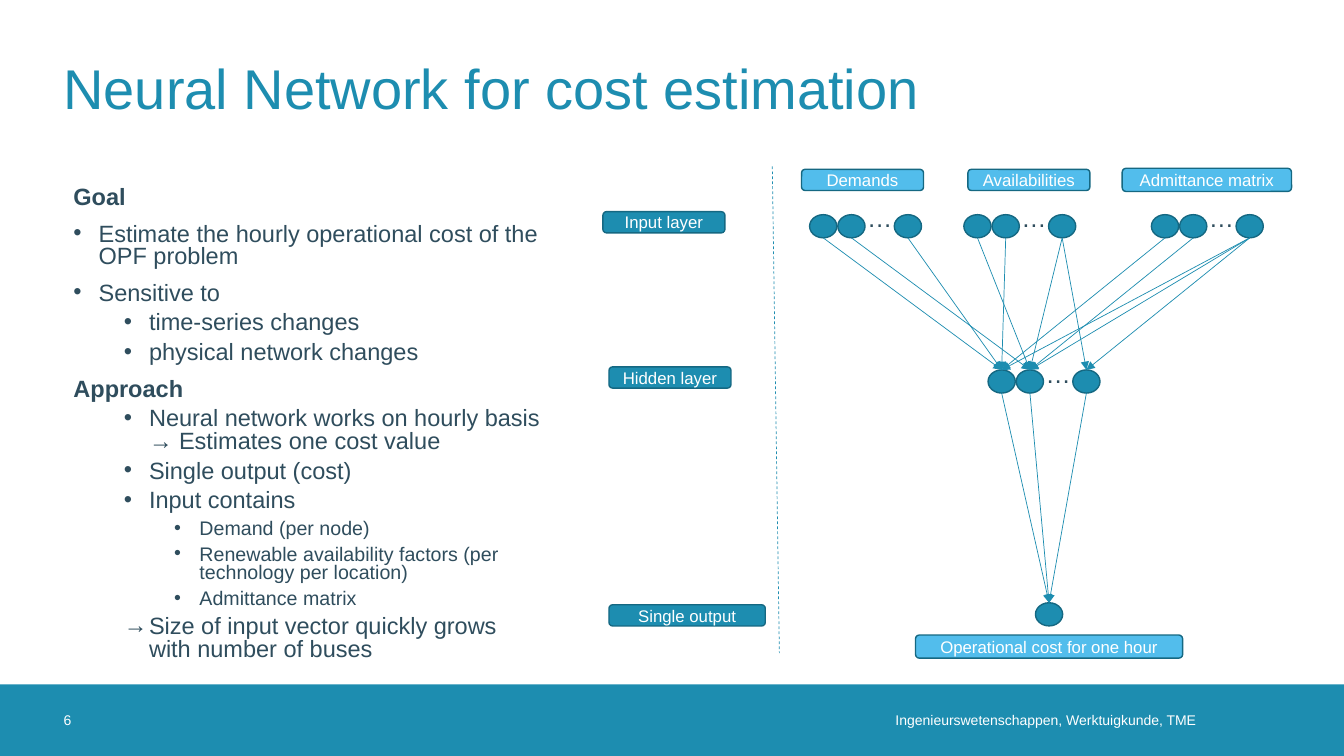
from lxml import etree
from pptx import Presentation
from pptx.dml.color import RGBColor
from pptx.enum.dml import MSO_LINE
from pptx.enum.shapes import MSO_CONNECTOR, MSO_SHAPE
from pptx.enum.text import MSO_ANCHOR, PP_ALIGN
from pptx.oxml.ns import qn
from pptx.util import Inches, Pt

RECT, PILL, OVAL = MSO_SHAPE.RECTANGLE, MSO_SHAPE.ROUNDED_RECTANGLE, MSO_SHAPE.OVAL
STRAIGHT, DASH = MSO_CONNECTOR.STRAIGHT, MSO_LINE.DASH
LEFT, CENTER, RIGHT = PP_ALIGN.LEFT, PP_ALIGN.CENTER, PP_ALIGN.RIGHT
TOP, MIDDLE = MSO_ANCHOR.TOP, MSO_ANCHOR.MIDDLE

COLORS = {"teal": "1D8DB0", "edge": "156882", "sky": "52BDEC",
          "ink": "2F4D5D", "white": "FFFFFF"}
FONT = "Arial"

# Content
TITLE = "Neural Network for cost estimation"
FOOTER = "Ingenieurswetenschappen, Werktuigkunde, TME"
PAGE_NUMBER = "6"
OUTLINE = [  # level, bullet, text; no bullet marks a heading
    (0, "", "Goal"),
    (0, "•", "Estimate the hourly operational cost of the OPF problem"),
    (0, "•", "Sensitive to"),
    (1, "•", "time-series changes"),
    (1, "•", "physical network changes"),
    (0, "", "Approach"),
    (1, "•", "Neural network works on hourly basis → Estimates one cost value"),
    (1, "•", "Single output (cost)"),
    (1, "•", "Input contains"),
    (2, "•", "Demand (per node)"),
    (2, "•", "Renewable availability factors (per technology per location)"),
    (2, "•", "Admittance matrix"),
    (1, "→", "Size of input vector quickly grows with number of buses"),
]
LEVEL_SIZE = (16.8, 16.8, 14)
LEVEL_SPACE = (10, 5, 5)
PILLS = [  # text, fill, left, top, width, height
    ("Input layer", "teal", 5.98, 2.1, 1.21, 0.21),
    ("Hidden layer", "teal", 6.04, 3.64, 1.21, 0.21),
    ("Single output", "teal", 6.04, 6, 1.55, 0.21),
    ("Demands", "sky", 7.95, 1.68, 1.21, 0.21),
    ("Availabilities", "sky", 9.6, 1.68, 1.21, 0.21),
    ("Admittance matrix", "sky", 11.13, 1.67, 1.68, 0.23),
    ("Operational cost for one hour", "sky", 9.08, 6.3, 2.65, 0.23),
]

# Network layout: each cluster is node, node, dots, node
NODE_W, NODE_H, NODE_STEP = 0.27, 0.23, 0.28
NODE_SLOTS, DOTS_SHIFT = (0, 1, 3), (0.47, -0.17)
INPUT_TOP, HIDDEN_TOP, OUTPUT_TOP = 2.13, 3.67, 5.98
INPUT_LEFT = {"demand": 8.03, "availability": 9.56, "admittance": 11.42}
HIDDEN_LEFT, OUTPUT_LEFT = 9.8, 10.27
LINKS = {  # input cluster: (input node, hidden node)
    "demand": [(0, 0), (2, 0), (1, 1)],
    "availability": [(1, 0), (0, 1), (2, 1), (2, 2)],
    "admittance": [(0, 0), (2, 0), (1, 1), (2, 1), (2, 2)],
}

deck = Presentation()
deck.slide_width, deck.slide_height = Inches(13.33), Inches(7.5)
page = deck.slides.add_slide(deck.slide_layouts[6])


def color(name):
    return RGBColor.from_string(COLORS[name])


def write(para, text, size, ink, bold=False):
    span = para.add_run()
    span.text = text
    for key, value in {"name": FONT, "size": Pt(size), "bold": bold}.items():
        setattr(span.font, key, value)
    span.font.color.rgb = color(ink)


def add_shape(parent, kind, at, fill, edge=None):
    shape = parent.add_shape(kind, *map(Inches, at))
    shape.shadow.inherit = False
    shape.fill.solid()
    shape.fill.fore_color.rgb = color(fill)
    if edge:
        shape.line.color.rgb, shape.line.width = color(edge), Pt(1)
    else:
        shape.line.fill.background()
    return shape


def add_text(parent, at, text, size, ink, align=LEFT, insets=(0, 0, 0, 0), wrap=True):
    frame = parent.add_textbox(*map(Inches, at)).text_frame
    sides = ("margin_left", "margin_top", "margin_right", "margin_bottom")
    form = dict(zip(sides, map(Inches, insets)))
    form.update(word_wrap=wrap, vertical_anchor=MIDDLE)
    for key, value in form.items():
        setattr(frame, key, value)
    frame.paragraphs[0].alignment = align
    write(frame.paragraphs[0], text, size, ink)


def add_line(start, end, arrow=True):
    line = page.shapes.add_connector(STRAIGHT, *map(Inches, (*start, *end)))
    line.line.color.rgb, line.line.width = color("teal"), Pt(0.5)
    if arrow:
        etree.SubElement(line.line._get_or_add_ln(), qn("a:tailEnd"), type="triangle")
    else:
        line.line.dash_style = DASH
    etree.SubElement(line._element.spPr, qn("a:effectLst"))


def add_node(parent, left, top):
    add_shape(parent, OVAL, (left, top, NODE_W, NODE_H), "teal", "edge")
    return left + NODE_W / 2


def add_cluster(left, top):
    """Draw a row of nodes and return their centre lines."""
    parts = page.shapes.add_group_shape().shapes
    centers = [add_node(parts, left + slot * NODE_STEP, top) for slot in NODE_SLOTS]
    shift_x, shift_y = DOTS_SHIFT
    add_text(parts, (left + shift_x, top + shift_y, 0.45, 0.4), "…", 18, "ink",
             CENTER, (0.1, 0.05, 0.1, 0.05), False)
    return centers


# Title and footer band
add_shape(page.shapes, RECT, (0, 6.79, 13.33, 0.71), "teal")
add_text(page.shapes, (0.63, 0.23, 12.07, 1.26), TITLE, 40, "teal")
add_text(page.shapes, (6.6, 6.79, 5.46, 0.71), FOOTER, 10, "white", RIGHT, (0, 0, 0.2, 0))
add_text(page.shapes, (0.63, 6.79, 0.71, 0.71), PAGE_NUMBER, 10, "white")

# Outline
body = page.shapes.add_textbox(*map(Inches, (0.63, 1.81, 4.84, 4.88))).text_frame
body.word_wrap, body.vertical_anchor = True, TOP
for number, (level, bullet, text) in enumerate(OUTLINE):
    para = body.add_paragraph() if number else body.paragraphs[0]
    form = {"level": level, "line_spacing": 0.8, "space_before": Pt(LEVEL_SPACE[level])}
    for key, value in form.items():
        setattr(para, key, value)
    if bullet:
        props = para._p.get_or_add_pPr()
        props.set("marL", str(Inches(0.25 + 0.5 * level)))
        props.set("indent", str(Inches(-0.25)))
        etree.SubElement(props, qn("a:buFont"), typeface=FONT)
        etree.SubElement(props, qn("a:buChar"), char=bullet)
    write(para, text, LEVEL_SIZE[level], "ink", not bullet)

# Divider and labels
add_line((7.66, 1.65), (7.73, 6.48), arrow=False)
for text, fill, *at in PILLS:
    pill = add_shape(page.shapes, PILL, at, fill, "edge")
    pill.text_frame.word_wrap, pill.text_frame.vertical_anchor = True, MIDDLE
    pill.text_frame.paragraphs[0].alignment = CENTER
    write(pill.text_frame.paragraphs[0], text, 12, "white")

# Network nodes
inputs = {name: add_cluster(left, INPUT_TOP) for name, left in INPUT_LEFT.items()}
hidden = add_cluster(HIDDEN_LEFT, HIDDEN_TOP)
output = add_node(page.shapes, OUTPUT_LEFT, OUTPUT_TOP)

# Network arrows
for name, pairs in LINKS.items():
    for source, target in pairs:
        add_line((inputs[name][source], INPUT_TOP + NODE_H), (hidden[target], HIDDEN_TOP))
for center in hidden:
    add_line((center, HIDDEN_TOP + NODE_H), (output, OUTPUT_TOP))

deck.save("out.pptx")
